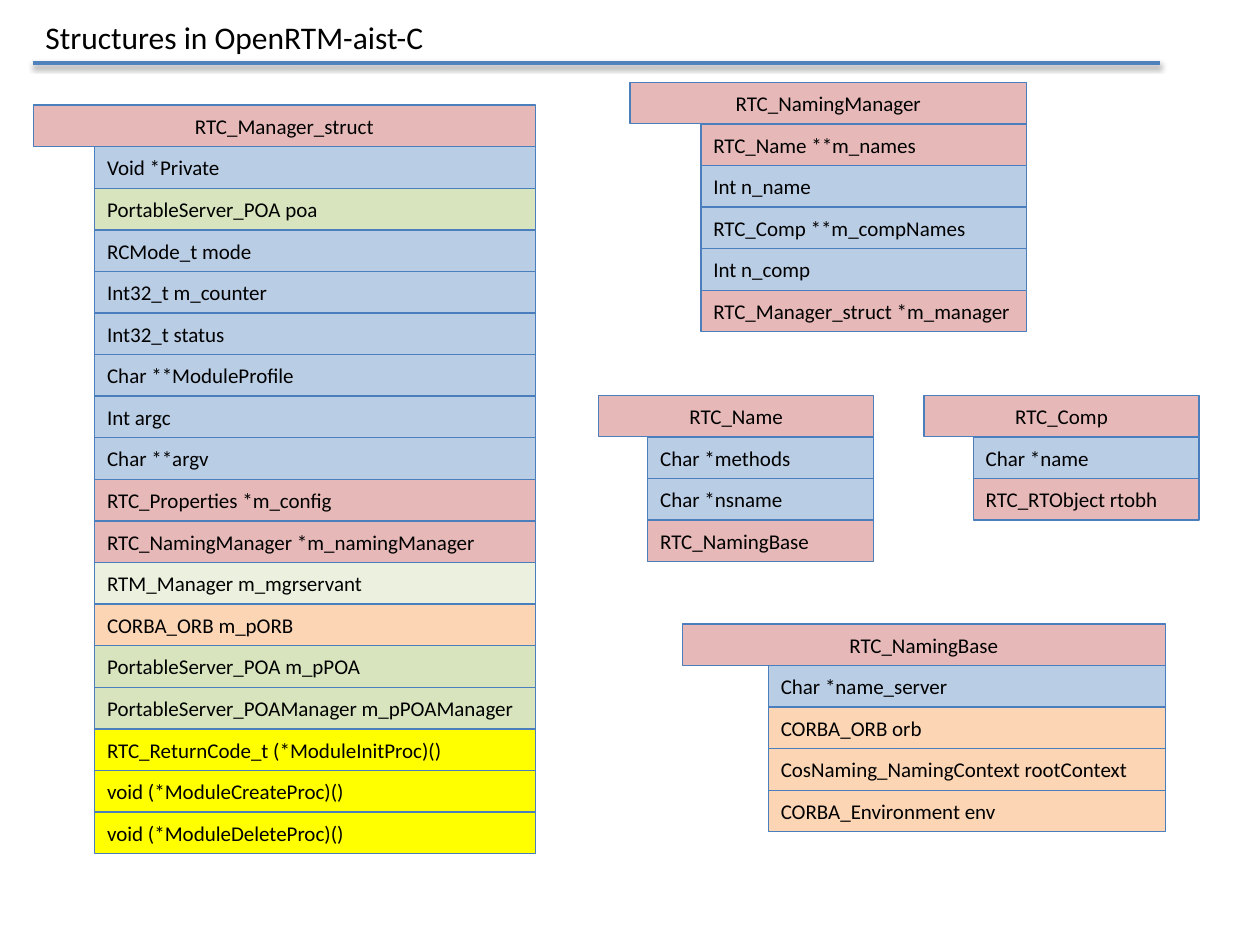
from dataclasses import dataclass

from lxml import etree
from pptx import Presentation
from pptx import util as u
from pptx.dml.color import RGBColor
from pptx.enum import shapes, text
from pptx.oxml.ns import nsdecls


@dataclass(frozen=True)
class Theme:
    font: str = "Calibri"
    title_size: int = 18
    row_size: int = 12
    ink: str = "000000"
    rule: str = "4F81BD"
    border: str = "4B7EBC"
    struct: str = "E6B9B8"
    plain: str = "B9CDE5"
    poa: str = "D7E4BD"
    servant: str = "EBF1DE"
    corba: str = "FCD5B5"
    function: str = "FFFF00"


theme = Theme()
ROW_HEIGHT = 14.25 / 17  # the 17 manager fields share this height

# Each struct: name, left, top, width, field indent (cm), fields with fill
structs = [
    ("RTC_Manager_struct", 0.67, 2.12, 10.13, 1.24, [
        ("Void *Private", theme.plain),
        ("PortableServer_POA poa", theme.poa),
        ("RCMode_t mode", theme.plain),
        ("Int32_t m_counter", theme.plain),
        ("Int32_t status", theme.plain),
        ("Char **ModuleProfile", theme.plain),
        ("Int argc", theme.plain),
        ("Char **argv", theme.plain),
        ("RTC_Properties *m_config", theme.struct),
        ("RTC_NamingManager *m_namingManager", theme.struct),
        ("RTM_Manager m_mgrservant", theme.servant),
        ("CORBA_ORB m_pORB", theme.corba),
        ("PortableServer_POA m_pPOA", theme.poa),
        ("PortableServer_POAManager m_pPOAManager", theme.poa),
        ("RTC_ReturnCode_t (*ModuleInitProc)()", theme.function),
        ("void (*ModuleCreateProc)()", theme.function),
        ("void (*ModuleDeleteProc)()", theme.function),
    ]),
    ("RTC_Name", 12.07, 7.97, 5.54, 0.99, [
        ("Char *methods", theme.plain),
        ("Char *nsname", theme.plain),
        ("RTC_NamingBase", theme.struct),
    ]),
    ("RTC_NamingManager", 12.7, 1.66, 8, 1.43, [
        ("RTC_Name **m_names", theme.struct),
        ("Int n_name", theme.plain),
        ("RTC_Comp **m_compNames", theme.plain),
        ("Int n_comp", theme.plain),
        ("RTC_Manager_struct *m_manager", theme.struct),
    ]),
    ("RTC_NamingBase", 13.76, 12.58, 9.73, 1.73, [
        ("Char *name_server", theme.plain),
        ("CORBA_ORB orb", theme.corba),
        ("CosNaming_NamingContext rootContext", theme.corba),
        ("CORBA_Environment env", theme.corba),
    ]),
    ("RTC_Comp", 18.63, 7.97, 5.54, 0.99, [
        ("Char *name", theme.plain),
        ("RTC_RTObject rtobh", theme.struct),
    ]),
]


def write(box, words, size, align):
    frame = box.text_frame
    frame.text = words
    frame.vertical_anchor = text.MSO_ANCHOR.MIDDLE
    para = frame.paragraphs[0]
    para.alignment = align
    font = para.runs[0].font
    font.name, font.size = theme.font, u.Pt(size)
    font.color.rgb = RGBColor.from_string(theme.ink)


def add_row(group, words, left, top, width, fill, align):
    box = group.shapes.add_shape(shapes.MSO_SHAPE.RECTANGLE, u.Cm(left), u.Cm(top),
                                 u.Cm(width), u.Cm(ROW_HEIGHT))
    box.shadow.inherit = False
    box.fill.solid()
    box.fill.fore_color.rgb = RGBColor.from_string(fill)
    box.line.color.rgb = RGBColor.from_string(theme.border)
    box.line.width = u.Pt(0.75)
    write(box, words, theme.row_size, align)
    box.text_frame.word_wrap = True


deck = Presentation()
deck.slide_width, deck.slide_height = u.Cm(25.4), u.Cm(19.05)
page = deck.slides.add_slide(deck.slide_layouts.get_by_name("Title Only"))

# Title
title = page.shapes.title
title.left, title.top, title.width, title.height = u.Cm(0.66), u.Cm(0.22), u.Cm(8.26), u.Cm(1.03)
write(title, "Structures in OpenRTM-aist-C", theme.title_size, text.PP_ALIGN.LEFT)
title.text_frame.word_wrap = False
title.text_frame.auto_size = text.MSO_AUTO_SIZE.NONE

# Rule under the title, with a soft shadow
rule = page.shapes.add_connector(shapes.MSO_CONNECTOR.STRAIGHT, u.Cm(0.66), u.Cm(1.27),
                                 u.Cm(23.39), u.Cm(1.27))
rule.line.color.rgb = RGBColor.from_string(theme.rule)
rule.line.width = u.Pt(2)
rule_properties = rule.line._get_or_add_ln().getparent()
rule_properties.append(etree.fromstring(
    f'<a:effectLst {nsdecls("a")}><a:outerShdw blurRad="40000" dist="20000" dir="5400000" '
    f'rotWithShape="0"><a:srgbClr val="{theme.ink}"><a:alpha val="38000"/></a:srgbClr>'
    '</a:outerShdw></a:effectLst>'))

# Structs: a heading row, then indented fields stacked below it
for name, left, top, width, indent, fields in structs:
    group = page.shapes.add_group_shape()
    add_row(group, name, left, top, width, theme.struct, text.PP_ALIGN.CENTER)
    for number, (field, fill) in enumerate(fields, start=1):
        add_row(group, field, left + indent, top + number * ROW_HEIGHT,
                width - indent, fill, text.PP_ALIGN.LEFT)

deck.save("out.pptx")
